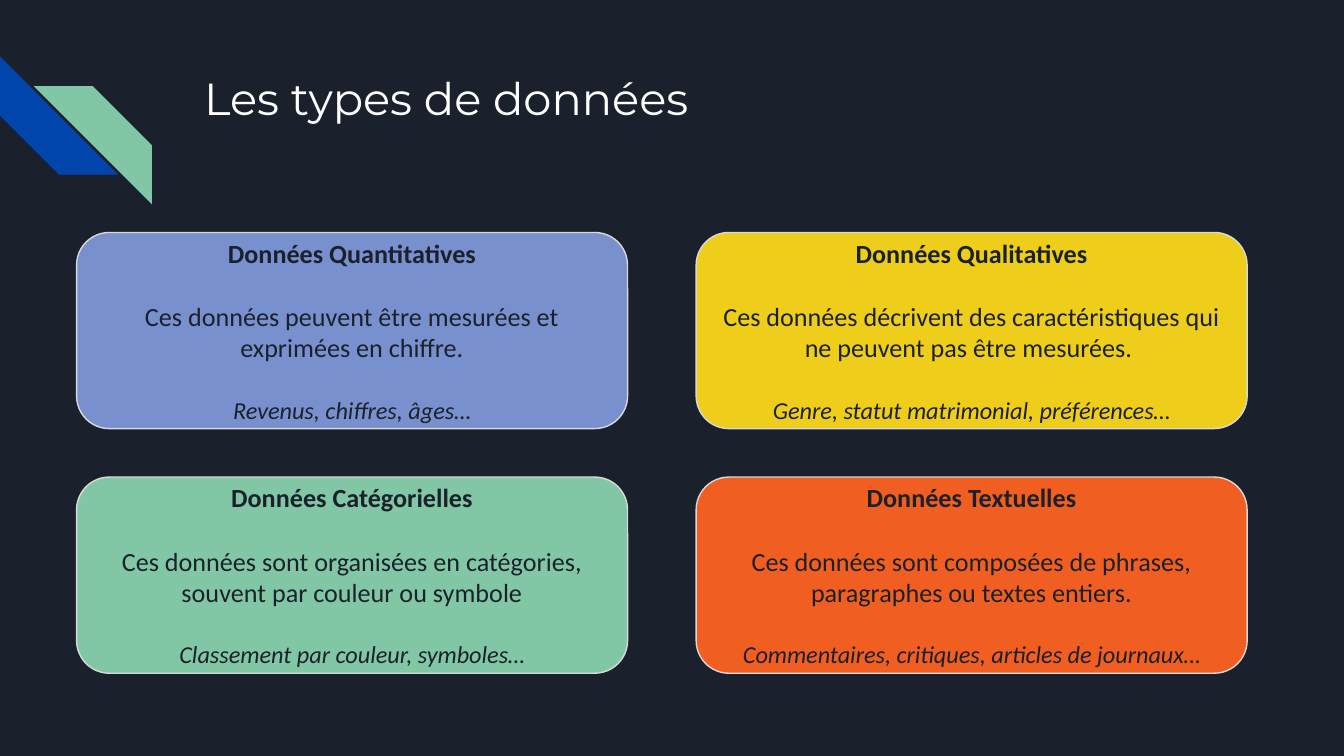
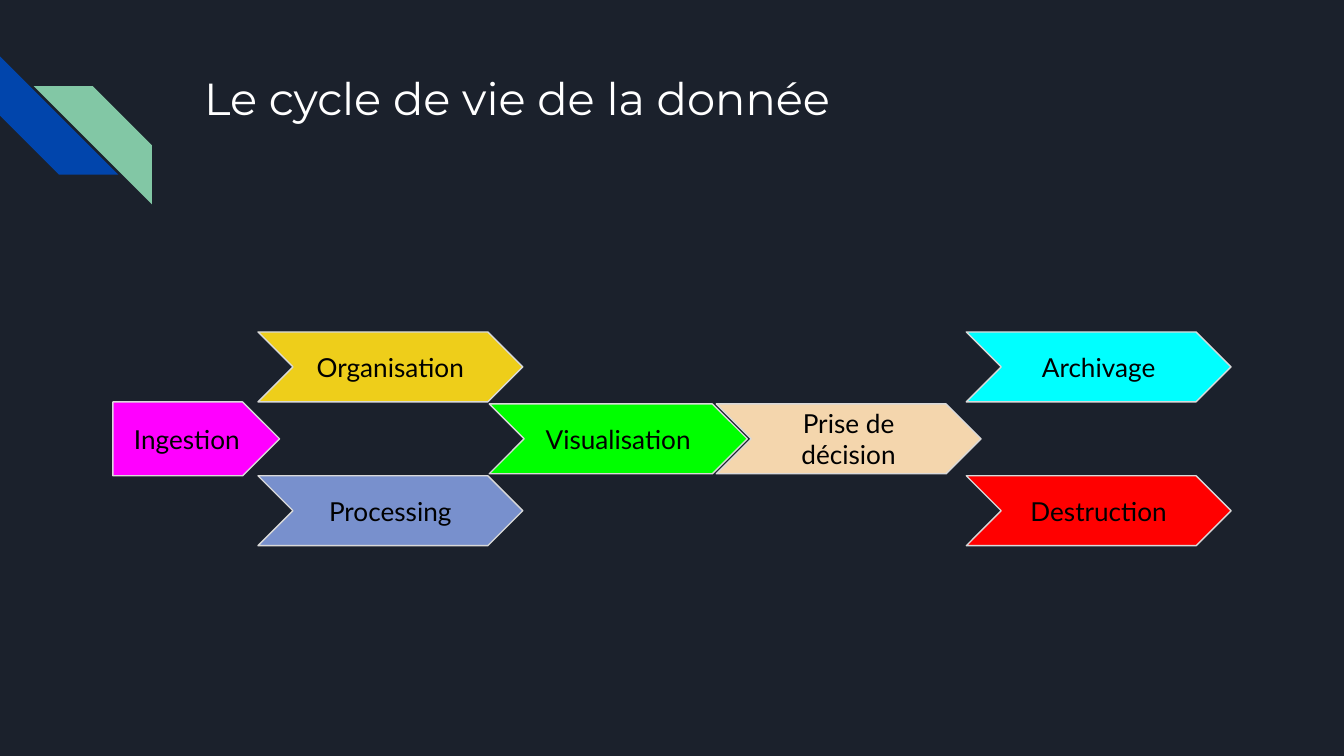
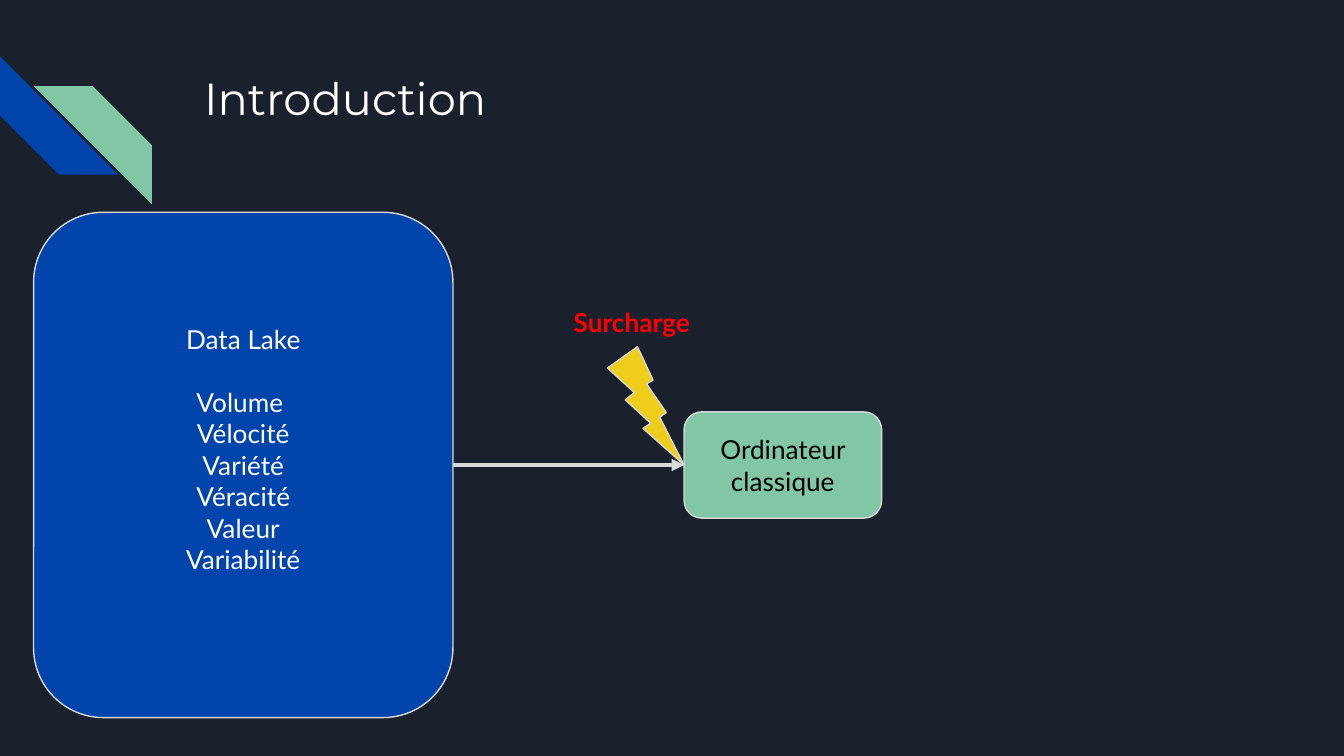
"""Build three slides about data types, the data life cycle and overload."""
from lxml.etree import SubElement
from pptx import Presentation
from pptx.dml.color import RGBColor
from pptx.enum.shapes import MSO_CONNECTOR, MSO_SHAPE as Preset
from pptx.enum.text import MSO_ANCHOR as Anchor, PP_ALIGN as Align
from pptx.oxml.ns import qn
from pptx.util import Inches, Pt

NIGHT = RGBColor(0x1B, 0x21, 0x2C)
BLUE = RGBColor(0x01, 0x45, 0xAC)
GREEN = RGBColor(0x82, 0xC7, 0xA5)
PERIWINKLE = RGBColor(0x78, 0x90, 0xCD)
YELLOW = RGBColor(0xEE, 0xCE, 0x1A)
ORANGE = RGBColor(0xF1, 0x5E, 0x22)
MAGENTA = RGBColor(0xFF, 0x00, 0xFF)
LIME = RGBColor(0x00, 0xFF, 0x00)
SAND = RGBColor(0xF4, 0xD6, 0xAD)
CYAN = RGBColor(0x00, 0xFF, 0xFF)
RED = RGBColor(0xFF, 0x00, 0x00)
GREY = RGBColor(0xD9, 0xD9, 0xD9)
WHITE = RGBColor(0xFF, 0xFF, 0xFF)
BLACK = RGBColor(0x00, 0x00, 0x00)

WIDTH = 10
HEIGHT = WIDTH * 9 / 16
INSET = 0.1
BLANK_LAYOUT = 6

TITLE = {"name": "Montserrat", "size": Pt(24), "color": WHITE}
LABEL = {"name": "Lato", "size": Pt(14), "color": BLACK}
LAKE_TEXT = {**LABEL, "color": WHITE}
WARNING = {**LABEL, "color": RED, "bold": True}
CARD_TEXT = {"name": "Calibri", "size": Pt(14), "color": NIGHT}
CARD_HEAD = {**CARD_TEXT, "bold": True}
CARD_EXAMPLE = {**CARD_TEXT, "size": Pt(13), "italic": True}
LINE_GAP = 17

DATA_TYPES = [
    ("Données Quantitatives", "Ces données peuvent être mesurées et exprimées en chiffre.",
     "Revenus, chiffres, âges…", PERIWINKLE),
    ("Données Qualitatives",
     "Ces données décrivent des caractéristiques qui ne peuvent pas être mesurées. ",
     "Genre, statut matrimonial, préférences…", YELLOW),
    ("Données Catégorielles",
     "Ces données sont organisées en catégories, souvent par couleur ou symbole",
     "Classement par couleur, symboles…", GREEN),
    ("Données Textuelles",
     "Ces données sont composées de phrases, paragraphes ou textes entiers.",
     "Commentaires, critiques, articles de journaux…", ORANGE),
]
CARD_LEFT, CARD_TOP, CARD_WIDTH, CARD_HEIGHT = 0.57, 1.73, 4.1, 1.46
CARD_STEP_X, CARD_STEP_Y = 4.61, 1.82

STEPS = [
    ("Ingestion", Preset.PENTAGON, 0.84, 1, 1.24, 0.55, MAGENTA),
    ("Organisation", Preset.CHEVRON, 1.92, 0, 1.97, 0.52, YELLOW),
    ("Processing", Preset.CHEVRON, 1.92, 2, 1.97, 0.52, PERIWINKLE),
    ("Visualisation", Preset.CHEVRON, 3.64, 1, 1.92, 0.52, LIME),
    ("Prise de décision", Preset.CHEVRON, 5.33, 1, 1.97, 0.52, SAND),
    ("Archivage", Preset.CHEVRON, 7.19, 0, 1.97, 0.52, CYAN),
    ("Destruction", Preset.CHEVRON, 7.19, 2, 1.97, 0.52, RED),
]
FLOW_TOP, FLOW_SPAN = 2.73, 1.07

LAKE_NAME = "Data Lake"
LAKE_TRAITS = ["Volume ", "Vélocité", "Variété", "Véracité", "Valeur", "Variabilité"]
LAKE_LEFT, LAKE_TOP, LAKE_WIDTH, LAKE_HEIGHT = 0.25, 1.58, 3.12, 3.76
COMPUTER_LEFT, COMPUTER_WIDTH, COMPUTER_HEIGHT = 5.09, 1.47, 0.79
BOLT_WIDTH, BOLT_HEIGHT = 0.57, 0.88


def write(shape, lines, align=Align.CENTER, anchor=Anchor.MIDDLE):
    """Fill a shape with lines given as (text, format, space before)."""
    frame = shape.text_frame
    settings = {"word_wrap": True, "vertical_anchor": anchor}
    settings.update({f"margin_{side}": Inches(INSET) for side in ("left", "top", "right", "bottom")})
    for name, value in settings.items():
        setattr(frame, name, value)
    for index, (text, style, gap) in enumerate(lines):
        para = frame.add_paragraph() if index else frame.paragraphs[0]
        para.alignment = align
        if gap:
            para.space_before = Pt(gap)
        span = para.add_run()
        span.text = text
        for name, value in style.items():
            if name == "color":
                span.font.color.rgb = value
            else:
                setattr(span.font, name, value)


def add_block(page, preset, place, fill, lines=(), outlined=True):
    """Add a filled preset shape with optional text and outline."""
    block = page.shapes.add_shape(preset, *map(Inches, place))
    block.shadow.inherit = False
    block.fill.solid()
    block.fill.fore_color.rgb = fill
    if outlined:
        block.line.color.rgb = GREY
        block.line.width = Pt(0.75)
    else:
        block.line.fill.background()
    if lines:
        write(block, lines)
    return block


def add_label(page, place, text, style):
    """Add a left-aligned text box."""
    box = page.shapes.add_textbox(*map(Inches, place))
    write(box, [(text, style, 0)], Align.LEFT, Anchor.TOP)


def add_page(deck, title):
    """Add a page with the corner stripes and its title."""
    page = deck.slides.add_slide(deck.slide_layouts[BLANK_LAYOUT])
    page.background.fill.solid()
    page.background.fill.fore_color.rgb = NIGHT
    lower = add_block(page, Preset.DIAGONAL_STRIPE, (0, 0.42, 0.88, 0.88), BLUE, outlined=False)
    lower.rotation = 270
    upper = add_block(page, Preset.DIAGONAL_STRIPE, (0.25, 0.64, 0.88, 0.88), GREEN, outlined=False)
    upper._element.spPr.find(qn("a:xfrm")).set("flipH", "1")
    add_label(page, (1.42, 0.43, 7.7, 1), title, TITLE)
    return page


def add_arrow(page, start, end):
    """Join the right side of one block to the left side of another."""
    arrow = page.shapes.add_connector(MSO_CONNECTOR.STRAIGHT, 0, 0, 0, 0)
    arrow.begin_connect(start, 3)
    arrow.end_connect(end, 1)
    arrow.line.color.rgb = GREY
    arrow.line.width = Pt(2.25)
    SubElement(arrow.line._get_or_add_ln(), qn("a:tailEnd"), type="triangle")
    SubElement(arrow._element.spPr, qn("a:effectLst"))


def build_types(deck):
    """Show the four data types in a two by two grid."""
    page = add_page(deck, "Les types de données")
    for index, (name, meaning, example, fill) in enumerate(DATA_TYPES):
        row, column = divmod(index, 2)
        place = (CARD_LEFT + column * CARD_STEP_X, CARD_TOP + row * CARD_STEP_Y,
                 CARD_WIDTH, CARD_HEIGHT)
        lines = [(name, CARD_HEAD, 0), (meaning, CARD_TEXT, LINE_GAP),
                 (example, CARD_EXAMPLE, LINE_GAP)]
        add_block(page, Preset.ROUNDED_RECTANGLE, place, fill, lines)


def build_cycle(deck):
    """Show the life cycle as arrows on three rows."""
    page = add_page(deck, "Le cycle de vie de la donnée")
    for name, preset, left, row, width, height, fill in STEPS:
        middle = FLOW_TOP + row * FLOW_SPAN / 2
        add_block(page, preset, (left, middle - height / 2, width, height), fill,
                  [(name, LABEL, 0)])


def build_overload(deck):
    """Show a data lake overloading a single computer."""
    page = add_page(deck, "Introduction")
    middle = LAKE_TOP + LAKE_HEIGHT / 2
    lines = [(LAKE_NAME, LAKE_TEXT, 0)]
    lines += [(trait, LAKE_TEXT, 0 if index else LINE_GAP)
              for index, trait in enumerate(LAKE_TRAITS)]
    lake = add_block(page, Preset.ROUNDED_RECTANGLE,
                     (LAKE_LEFT, LAKE_TOP, LAKE_WIDTH, LAKE_HEIGHT), BLUE, lines)
    lake.text_frame.margin_bottom = Inches(INSET) + Pt(LINE_GAP)
    computer = add_block(page, Preset.ROUNDED_RECTANGLE,
                         (COMPUTER_LEFT, middle - COMPUTER_HEIGHT / 2,
                          COMPUTER_WIDTH, COMPUTER_HEIGHT),
                         GREEN, [("Ordinateur classique", LABEL, 0)])
    add_arrow(page, lake, computer)
    add_block(page, Preset.LIGHTNING_BOLT,
              (COMPUTER_LEFT - BOLT_WIDTH, middle - BOLT_HEIGHT, BOLT_WIDTH, BOLT_HEIGHT), YELLOW)
    add_label(page, (4.17, 2.18, 1.09, 0.37), "Surcharge", WARNING)


def main():
    """Build the deck and save it."""
    deck = Presentation()
    deck.slide_width, deck.slide_height = Inches(WIDTH), Inches(HEIGHT)
    for build in (build_types, build_cycle, build_overload):
        build(deck)
    deck.save("out.pptx")


if __name__ == "__main__":
    main()
